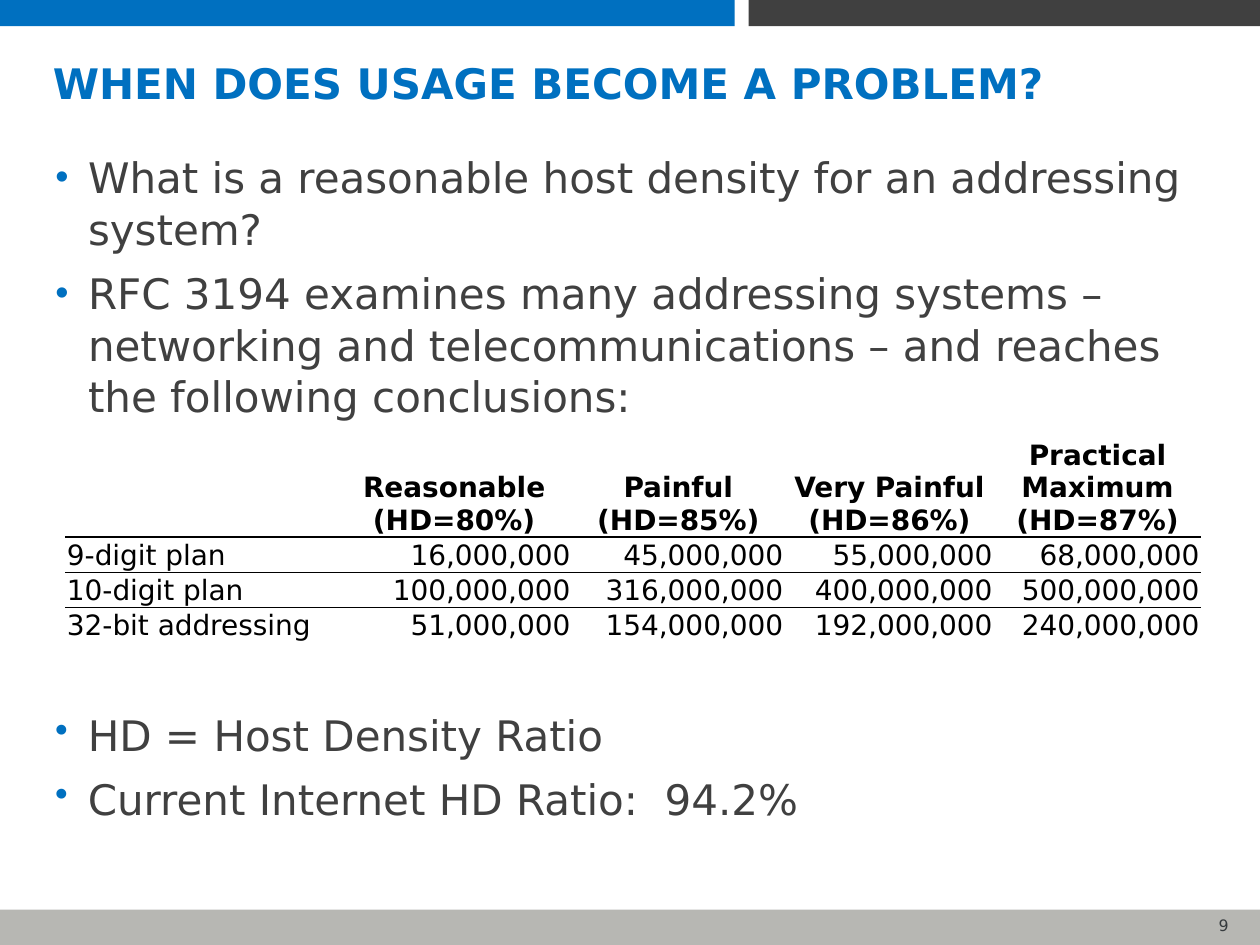
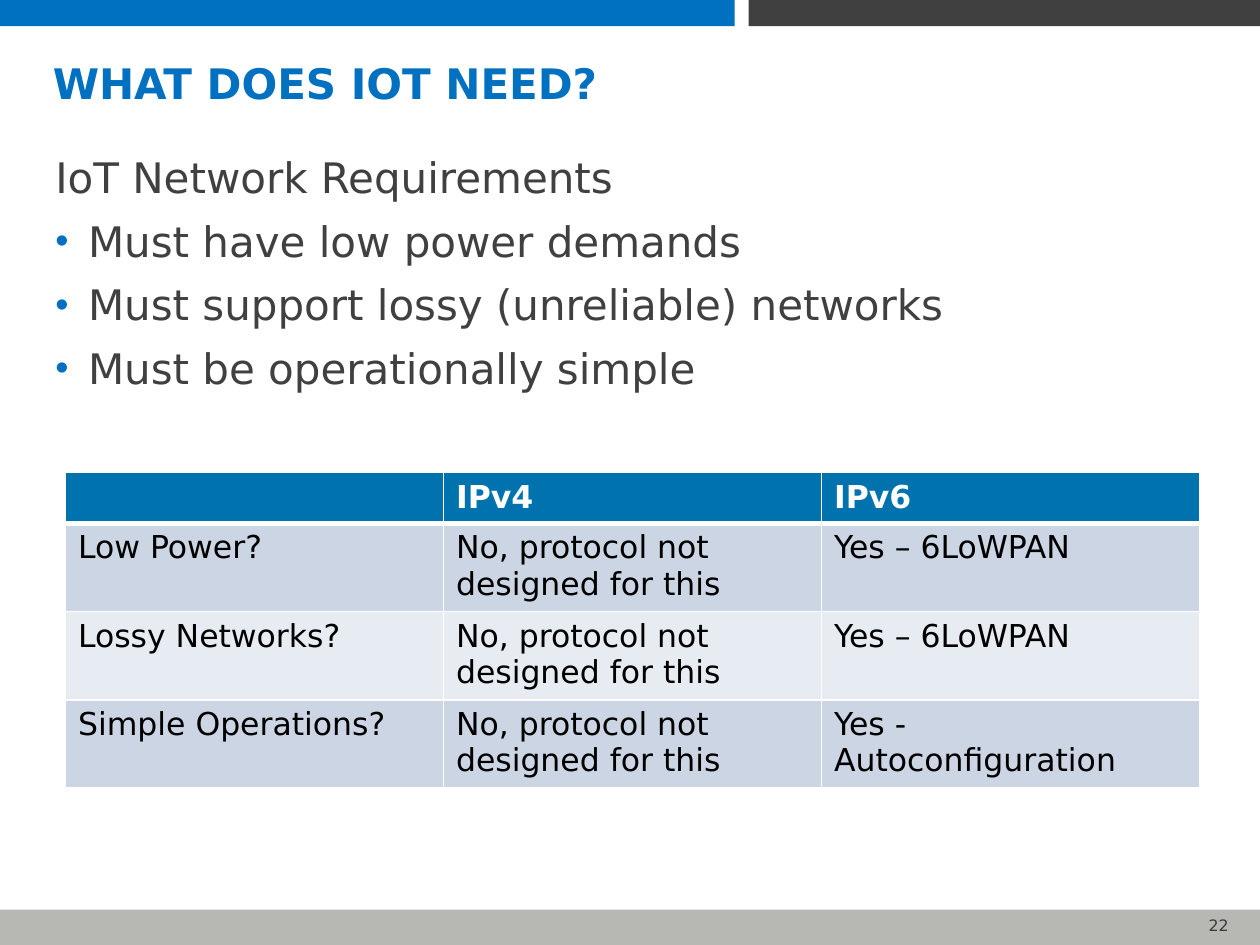
"""Build two slides on address usage and the needs of IoT networks."""
import pptx
import pptx.dml.color
import pptx.enum.shapes
import pptx.enum.text
import pptx.oxml
import pptx.oxml.ns
import pptx.util

Cm = pptx.util.Cm
Pt = pptx.util.Pt
ALIGN = pptx.enum.text.PP_ALIGN
ANCHOR = pptx.enum.text.MSO_ANCHOR
FONT = "DejaVu Sans"
BLUE, DARK, GREY, INK = "0070C0", "404040", "B7B7B3", "363B3E"
BLACK, WHITE = "000000", "FFFFFF"
HEAD, BANDS = "0073AE", ("CCD5E3", "E7EBF2")
BARS = [
    (0, 0, 14.81, 0.53, BLUE),
    (15.09, 0, 10.31, 0.53, DARK),
    (0, 18.34, 25.4, 0.71, GREY),
]
USAGE = [
    ["", "Reasonable (HD=80%)", "Painful (HD=85%)", "Very Painful (HD=86%)",
     "Practical Maximum (HD=87%)"],
    ["9-digit plan", "16,000,000", "45,000,000", "55,000,000", "68,000,000"],
    ["10-digit plan", "100,000,000", "316,000,000", "400,000,000", "500,000,000"],
    ["32-bit addressing", "51,000,000", "154,000,000", "192,000,000", "240,000,000"],
]
UNFIT = "No, protocol not designed for this"
NEEDS = [
    ["", "IPv4", "IPv6"],
    ["Low Power?", UNFIT, "Yes – 6LoWPAN"],
    ["Lossy Networks?", UNFIT, "Yes – 6LoWPAN"],
    ["Simple Operations?", UNFIT, "Yes - Autoconfiguration"],
]


def color(code):
    return pptx.dml.color.RGBColor.from_string(code)


def style(para, size, code, bold=False, align=ALIGN.LEFT):
    para.alignment = align
    font = para.font
    font.name, font.size, font.bold = FONT, Pt(size), bold
    font.color.rgb = color(code)


def place(shape, left, top, width, height):
    shape.left, shape.top = Cm(left), Cm(top)
    shape.width, shape.height = Cm(width), Cm(height)


def element(text):
    return pptx.oxml.parse_xml(text.replace(">", f" {pptx.oxml.ns.nsdecls('a')}>", 1))


def bullet(para, shown):
    props = para._p.get_or_add_pPr()
    step = Cm(0.66) if shown else 0
    props.set("marL", str(step))
    props.set("indent", str(-step))
    if not shown:
        props.append(element("<a:buNone></a:buNone>"))
        return
    props.append(element(f'<a:buClr><a:srgbClr val="{BLUE}"/></a:buClr>'))
    props.append(element('<a:buSzPct val="90000"></a:buSzPct>'))
    props.append(element('<a:buChar char="•"></a:buChar>'))


def fill_list(frame, lines, plain=0):
    frame.word_wrap = True
    frame.auto_size = pptx.enum.text.MSO_AUTO_SIZE.NONE
    frame.vertical_anchor = ANCHOR.TOP
    for index, line in enumerate(lines):
        para = frame.paragraphs[0] if index == 0 else frame.add_paragraph()
        para.text = line
        para.line_spacing = 1.03
        para.space_before = Pt(6.7 if index else 0)
        bullet(para, index >= plain)
        style(para, 24, DARK)


def add_bar(slide, left, top, width, height, code):
    bar = slide.shapes.add_shape(
        pptx.enum.shapes.MSO_SHAPE.RECTANGLE, Cm(left), Cm(top), Cm(width), Cm(height))
    bar.shadow.inherit = False
    bar.fill.solid()
    bar.fill.fore_color.rgb = color(code)
    bar.line.fill.background()


def add_slide(deck, title, number):
    slide = deck.slides.add_slide(deck.slide_layouts[1])
    for bar in BARS:
        add_bar(slide, *bar)
    head = slide.shapes.title
    place(head, 0.81, 0.94, 23.3, 1.47)
    head.text_frame.text = title
    head.text_frame.vertical_anchor = ANCHOR.MIDDLE
    style(head.text_frame.paragraphs[0], 24, BLUE, True)
    box = slide.shapes.add_textbox(Cm(23.22), Cm(18.34), Cm(1.8), Cm(0.64))
    box.text_frame.text = str(number)
    style(box.text_frame.paragraphs[0], 9, INK, align=ALIGN.RIGHT)
    return slide


def add_body(slide, height, lines, plain=0):
    body = slide.placeholders[1]
    place(body, 0.86, 2.9, 23.27, height)
    fill_list(body.text_frame, lines, plain)


def border(cell, lines):
    props = cell._tc.get_or_add_tcPr()
    for side in "LRTB":
        width = Pt(lines[side][0]) if side in lines else 0
        paint = "<a:noFill/>"
        if width:
            paint = f'<a:solidFill><a:srgbClr val="{lines[side][1]}"/></a:solidFill>'
        props.append(element(f'<a:ln{side} w="{width}">{paint}</a:ln{side}>'))


def add_table(slide, top, cols, rows, data, dress):
    table = slide.shapes.add_table(
        len(rows), len(cols), Cm(1.32), Cm(top), Cm(sum(cols)), Cm(sum(rows))).table
    table.first_row = table.horz_banding = False
    for col, width in zip(table.columns, cols):
        col.width = Cm(width)
    for row, height in zip(table.rows, rows):
        row.height = Cm(height)
    for r, texts in enumerate(data):
        for c, text in enumerate(texts):
            cell = table.cell(r, c)
            cell.text = text
            dress(cell, r, c)


def dress_usage(cell, row, col):
    cell.vertical_anchor = ANCHOR.BOTTOM
    cell.margin_left = cell.margin_right = cell.margin_top = Cm(0.03)
    cell.margin_bottom = 0
    rules = {}
    if row > 0:
        rules["T"] = (1 if row == 1 else 0.5, BLACK)
    if row < len(USAGE) - 1:
        rules["B"] = (0.5 if row else 1, BLACK)
    border(cell, rules)
    cell.fill.background()
    align = ALIGN.CENTER if row == 0 else ALIGN.RIGHT if col else ALIGN.LEFT
    style(cell.text_frame.paragraphs[0], 16, BLACK, row == 0, align)


def dress_needs(cell, row, col):
    rules = {side: (1, WHITE) for side in "LRTB"}
    if row < 2:
        rules["T" if row else "B"] = (3, WHITE)
    border(cell, rules)
    cell.fill.solid()
    cell.fill.fore_color.rgb = color(BANDS[(row - 1) % 2] if row else HEAD)
    style(cell.text_frame.paragraphs[0], 18, BLACK if row else WHITE, row == 0)


def main():
    deck = pptx.Presentation()
    deck.slide_width, deck.slide_height = Cm(25.4), Cm(19.05)

    slide = add_slide(deck, "WHEN DOES USAGE BECOME A PROBLEM?", 9)
    add_body(slide, 5.92, [
        "What is a reasonable host density for an addressing system?",
        "RFC 3194 examines many addressing systems – networking and "
        "telecommunications – and reaches the following conclusions:",
    ])
    add_table(slide, 8.76, [5.46, 4.75, 4.29, 4.22, 4.17],
              [1.98] + [0.68] * 3, USAGE, dress_usage)
    notes = slide.shapes.add_textbox(Cm(0.86), Cm(14.15), Cm(23.27), Cm(3.63))
    fill_list(notes.text_frame,
              ["HD = Host Density Ratio", "Current Internet HD Ratio:  94.2%"])

    slide = add_slide(deck, "WHAT DOES IOT NEED?", 22)
    add_body(slide, 15.52, [
        "IoT Network Requirements",
        "Must have low power demands",
        "Must support lossy (unreliable) networks",
        "Must be operationally simple",
    ], plain=1)
    add_table(slide, 9.53, [7.62] * 3, [1.02] + [1.73] * 3, NEEDS, dress_needs)
    deck.save("out.pptx")


if __name__ == "__main__":
    main()
